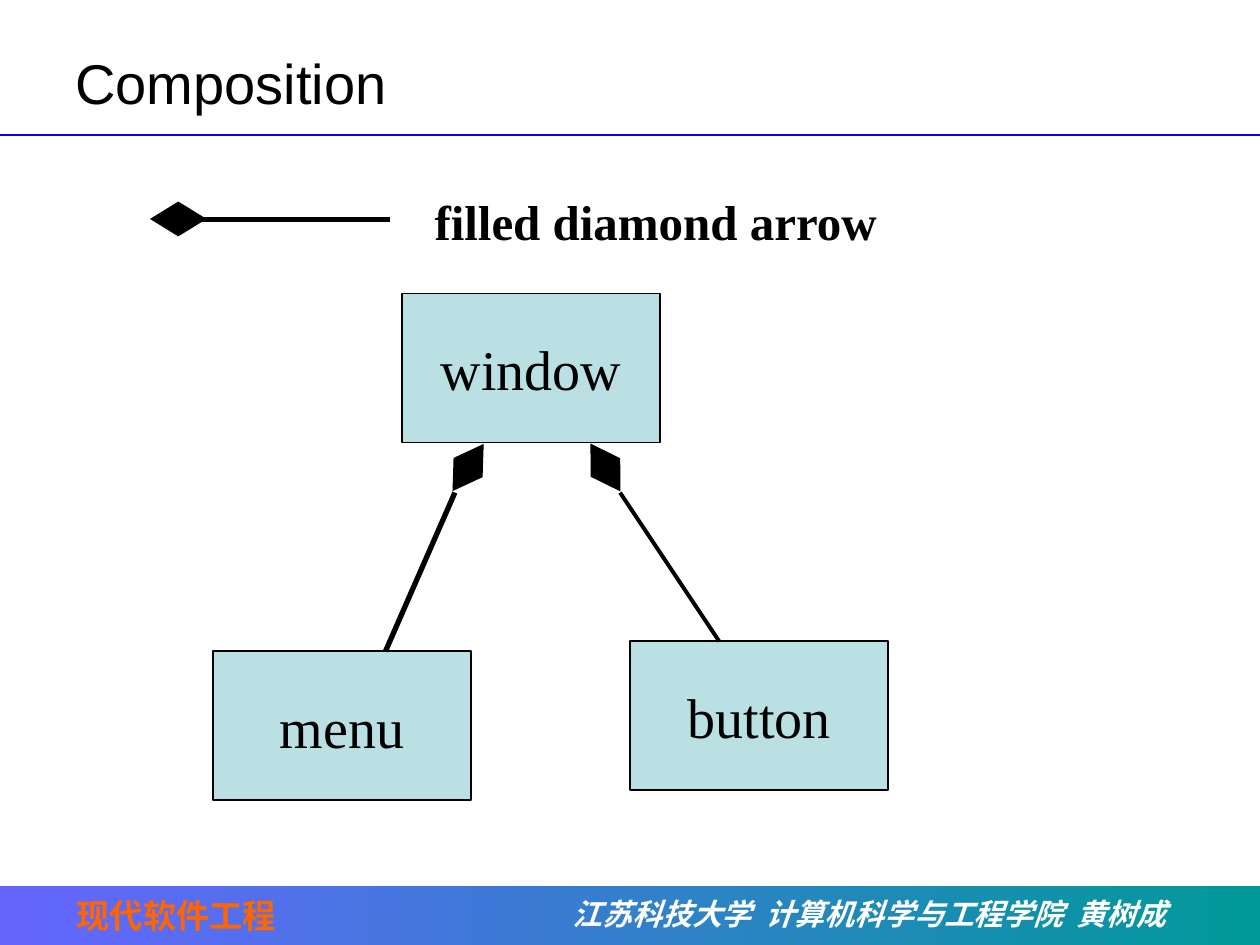
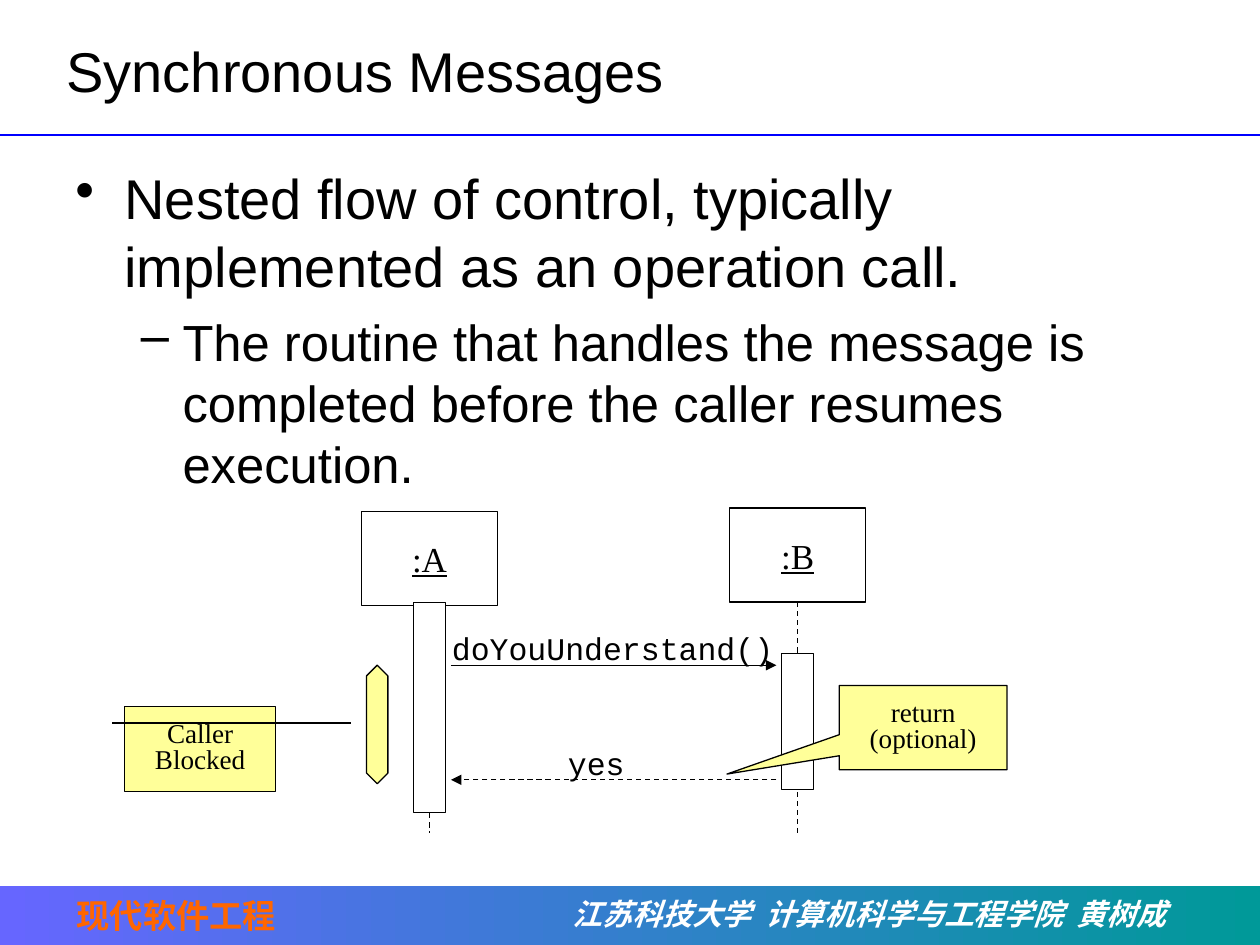
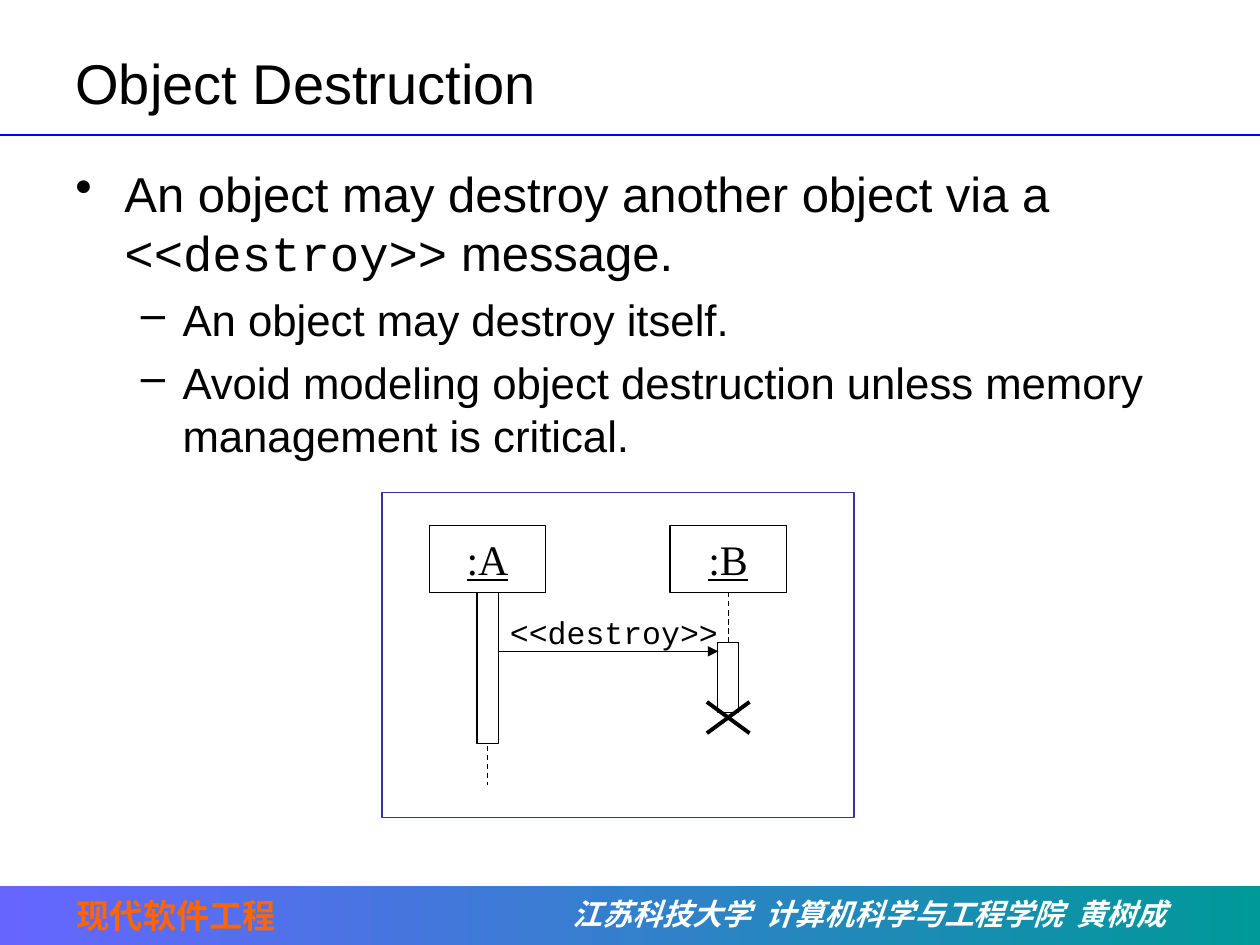
from dataclasses import dataclass

from lxml import etree
from pptx import Presentation
from pptx.dml.color import RGBColor
from pptx.enum.dml import MSO_LINE
from pptx.enum.shapes import MSO_CONNECTOR, MSO_SHAPE
from pptx.enum.text import MSO_ANCHOR, PP_ALIGN
from pptx.oxml.ns import qn
from pptx.util import Cm, Pt

# Colours
BLACK = RGBColor(0x00, 0x00, 0x00)
WHITE = RGBColor(0xFF, 0xFF, 0xFF)
BLUE = RGBColor(0x00, 0x00, 0xFF)
VIOLET = RGBColor(0x66, 0x66, 0xFF)
TEAL = RGBColor(0x00, 0x99, 0x99)
ORANGE = RGBColor(0xFF, 0x66, 0x00)
PALE_BLUE = RGBColor(0xBB, 0xE0, 0xE3)
YELLOW = RGBColor(0xFF, 0xFF, 0x99)
INDIGO = RGBColor(0x33, 0x33, 0x99)

# Fonts and enum members
SANS, SERIF, MONO = "Arial", "Times New Roman", "Courier New"
RECTANGLE = MSO_SHAPE.RECTANGLE
DIAMOND = MSO_SHAPE.DIAMOND
STRAIGHT = MSO_CONNECTOR.STRAIGHT
DASH = MSO_LINE.DASH
CENTER = PP_ALIGN.CENTER
MIDDLE = MSO_ANCHOR.MIDDLE
BOTTOM_SITE = 2

SLIDE_WIDTH, SLIDE_HEIGHT = 25.4, 19.05


@dataclass(frozen=True)
class Box:
    """A place on the slide, in centimetres."""
    left: float
    top: float
    width: float
    height: float

    def lengths(self):
        return Cm(self.left), Cm(self.top), Cm(self.width), Cm(self.height)


@dataclass(frozen=True)
class TextStyle:
    size: float
    font: str = SERIF
    color: RGBColor = BLACK
    bold: bool = False
    italic: bool = False
    underline: bool = False


@dataclass(frozen=True)
class Bullet:
    """A bulleted paragraph; runs are pairs of text and font name."""
    runs: tuple
    size: float
    level: int = 0
    space_before: float = 0


@dataclass(frozen=True)
class Participant:
    """An object of a sequence diagram with its lifeline and activation bar."""
    name: str
    box: Box
    size: float
    lifeline_end: float
    bar_top: float
    bar_width: float
    bar_height: float


TITLE_STYLE = TextStyle(32, SANS)
MESSAGE_STYLE = TextStyle(18, MONO)
NOTE_STYLE = TextStyle(15.5)
BULLET_MARKS = (("•", 0.99, -0.99), ("–", 2.16, -0.84))


# Text
def style_paragraph(paragraph, style: TextStyle) -> None:
    font = paragraph.font
    font.size = Pt(style.size)
    font.name = style.font
    font.color.rgb = style.color
    font.bold = style.bold
    font.italic = style.italic
    font.underline = style.underline


def add_label(shapes, box: Box, text: str, style: TextStyle,
              wrap: bool = True, anchor=MSO_ANCHOR.TOP):
    label = shapes.add_textbox(*box.lengths())
    frame = label.text_frame
    frame.word_wrap = wrap
    frame.vertical_anchor = anchor
    frame.text = text
    style_paragraph(frame.paragraphs[0], style)
    return label


def add_bullets(shapes, box: Box, bullets: list[Bullet]) -> None:
    frame = shapes.add_textbox(*box.lengths()).text_frame
    frame.word_wrap = True
    for index, bullet in enumerate(bullets):
        paragraph = frame.add_paragraph() if index else frame.paragraphs[0]
        paragraph.level = bullet.level
        mark, margin, indent = BULLET_MARKS[bullet.level]
        properties = paragraph._p.get_or_add_pPr()
        properties.set("marL", str(Cm(margin)))
        properties.set("indent", str(Cm(indent)))
        etree.SubElement(properties, qn("a:buChar")).set("char", mark)
        if index:
            paragraph.space_before = Pt(bullet.space_before)
        style_paragraph(paragraph, TextStyle(bullet.size, SANS))
        for text, font_name in bullet.runs:
            run = paragraph.add_run()
            run.text = text
            if font_name != SANS:
                run.font.name = font_name


# Shapes and lines
def add_figure(shapes, kind, box: Box, fill: RGBColor | None = None,
               line: RGBColor | None = BLACK, weight: float = 0.75):
    figure = shapes.add_shape(kind, *box.lengths())
    figure.shadow.inherit = False
    if fill is None:
        figure.fill.background()
    else:
        figure.fill.solid()
        figure.fill.fore_color.rgb = fill
    if line is None:
        figure.line.fill.background()
    else:
        figure.line.color.rgb = line
        figure.line.width = Pt(weight)
    return figure


def add_text_figure(shapes, kind, box: Box, text: str, style: TextStyle,
                    fill: RGBColor | None = None, weight: float = 0.75,
                    wrap: bool = False, spacing: float = 1.0):
    figure = add_figure(shapes, kind, box, fill, weight=weight)
    frame = figure.text_frame
    frame.word_wrap = wrap
    frame.vertical_anchor = MIDDLE
    frame.text = text
    paragraph = frame.paragraphs[0]
    paragraph.alignment = CENTER
    paragraph.line_spacing = spacing
    style_paragraph(paragraph, style)
    return figure


def add_line(shapes, start: tuple[float, float], end: tuple[float, float],
             weight: float = 0.75, color: RGBColor = BLACK,
             dashed: bool = False, arrow: bool = False):
    connector = shapes.add_connector(STRAIGHT, *map(Cm, start + end))
    connector.line.color.rgb = color
    connector.line.width = Pt(weight)
    if dashed:
        connector.line.dash_style = DASH
    if arrow:
        outline = connector.line._get_or_add_ln()
        etree.SubElement(outline, qn("a:tailEnd")).set("type", "triangle")
    etree.SubElement(connector._element.spPr, qn("a:effectLst"))
    return connector


def add_diamond(shapes, left: float, top: float, rotation: float = 0) -> None:
    diamond = add_figure(shapes, DIAMOND, Box(left, top, 0.99, 0.61), BLACK, weight=2.25)
    outline = diamond.line._get_or_add_ln()
    etree.SubElement(outline, qn("a:miter")).set("lim", "800000")
    diamond.rotation = rotation


def add_participant(shapes, participant: Participant) -> None:
    box = participant.box
    header = add_text_figure(shapes, RECTANGLE, box, participant.name,
                             TextStyle(participant.size, underline=True))
    center = box.left + box.width / 2
    lifeline = add_line(shapes, (center, box.top + box.height),
                        (center, participant.lifeline_end), dashed=True)
    lifeline.begin_connect(header, BOTTOM_SITE)
    bar = Box(center - participant.bar_width / 2, participant.bar_top,
              participant.bar_width, participant.bar_height)
    add_figure(shapes, RECTANGLE, bar, WHITE)


# Parts that every slide shares
def add_base_slide(presentation, title: str, left: float = 1.27, top: float = 0.76):
    slide = presentation.slides.add_slide(presentation.slide_layouts[6])
    shapes = slide.shapes
    add_line(shapes, (0, 2.72), (SLIDE_WIDTH, 2.72), 1.5, BLUE)
    band = add_figure(shapes, RECTANGLE, Box(0, 17.86, SLIDE_WIDTH, 1.19), line=None)
    band.fill.gradient()
    band.fill.gradient_angle = 0
    for stop, color in zip(band.fill.gradient_stops, (VIOLET, TEAL)):
        stop.color.rgb = color
    add_label(shapes, Box(11.3, 17.93, 13, 0.99), "江苏科技大学  计算机科学与工程学院  黄树成",
              TextStyle(17, color=WHITE, bold=True, italic=True))
    add_label(shapes, Box(1.3, 17.93, 7.49, 1.07), "现代软件工程",
              TextStyle(19, color=ORANGE, bold=True))
    add_label(shapes, Box(left, top, 22.66, 1.78), title, TITLE_STYLE, anchor=MIDDLE)
    return slide


def build_composition(presentation) -> None:
    shapes = add_base_slide(presentation, "Composition").shapes

    # Legend
    add_diamond(shapes, 3.1, 4.11)
    add_line(shapes, (4.06, 4.42), (7.87, 4.42), 3)
    add_label(shapes, Box(8.51, 3.73, 11.4, 1.45), "filled diamond arrow",
              TextStyle(28, bold=True))

    # Whole and its parts
    for name, left, top in (("window", 8.1, 5.92), ("menu", 4.29, 13.13),
                            ("button", 12.7, 12.93)):
        add_text_figure(shapes, RECTANGLE, Box(left, top, 5.21, 3), name,
                        TextStyle(32), PALE_BLUE, weight=1)
    add_line(shapes, (7.77, 13.13), (9.17, 9.93), 3)
    add_diamond(shapes, 8.94, 9.12, 123.5)
    add_diamond(shapes, 11.71, 9.12, 57.9)
    add_line(shapes, (12.5, 9.93), (14.5, 12.93), 2.25)


def build_synchronous_messages(presentation) -> None:
    shapes = add_base_slide(presentation, "Synchronous Messages", 1.09, 0.53).shapes
    add_bullets(shapes, Box(1.27, 3.18, 22.86, 14.17), [
        Bullet((("Nested flow of control, typically implemented as an operation call.",
                 SANS),), 32),
        Bullet((("The routine that handles the message is completed before "
                 "the caller resumes execution.", SANS),), 29, 1, 7.3),
    ])

    # Objects
    for participant in (
        Participant(":A", Box(7.29, 10.31, 2.74, 1.9), 20, 16.79, 12.14, 0.64, 4.24),
        Participant(":B", Box(14.71, 10.24, 2.74, 1.9), 20, 16.79, 13.18, 0.64, 2.74),
    ):
        add_participant(shapes, participant)

    # Call and return
    add_line(shapes, (9.09, 13.41), (15.65, 13.41), arrow=True)
    add_label(shapes, Box(8.86, 12.55, 6.98, 1.02), "doYouUnderstand()",
              MESSAGE_STYLE, wrap=False)
    add_line(shapes, (15.65, 15.72), (9.09, 15.72), dashed=True, arrow=True)
    add_label(shapes, Box(11.2, 14.88, 1.65, 1.02), "yes", MESSAGE_STYLE, wrap=False)

    # Blocked span and notes
    span = add_figure(shapes, MSO_SHAPE.UP_DOWN_ARROW, Box(7.39, 13.41, 0.43, 2.39), YELLOW)
    span.adjustments[0], span.adjustments[1] = 0.5, 1.12
    for kind, box, text, adjustments in (
        (MSO_SHAPE.LINE_CALLOUT_1, Box(2.51, 14.25, 3.05, 1.7), "Caller Blocked",
         (0.19, -0.08, 0.19, 1.5)),
        (MSO_SHAPE.RECTANGULAR_CALLOUT, Box(16.92, 13.82, 3.38, 1.7), "return (optional)",
         (-1.17, 0.55)),
    ):
        note = add_text_figure(shapes, kind, box, text, NOTE_STYLE, YELLOW,
                               wrap=True, spacing=0.8)
        for index, value in enumerate(adjustments):
            note.adjustments[index] = value


def build_object_destruction(presentation) -> None:
    slide = add_base_slide(presentation, "Object Destruction")
    add_bullets(slide.shapes, Box(1.27, 3.18, 22.86, 7.87), [
        Bullet((("An object may destroy another object via a ", SANS),
                ("<<destroy>>", MONO), (" message.", SANS)), 28),
        Bullet((("An object may destroy itself.", SANS),), 25, 1, 6.2),
        Bullet((("Avoid modeling object destruction unless memory "
                 "management is critical.", SANS),), 25, 1, 6.2),
    ])

    # Framed diagram
    shapes = slide.shapes.add_group_shape().shapes
    add_figure(shapes, RECTANGLE, Box(7.7, 9.93, 9.52, 6.55), line=INDIGO)
    for participant in (
        Participant(":A", Box(8.66, 10.59, 2.34, 1.35), 24, 15.82, 11.94, 0.43, 3.05),
        Participant(":B", Box(13.51, 10.59, 2.34, 1.35), 24, 14.38, 12.95, 0.43, 1.42),
    ):
        add_participant(shapes, participant)
    add_line(shapes, (10.03, 13.13), (14.48, 13.13), arrow=True)
    add_label(shapes, Box(10.03, 12.24, 4.7, 1.02), "<<destroy>>", MESSAGE_STYLE, wrap=False)

    # Destruction cross
    left, right, top, bottom = 14.25, 15.11, 14.15, 14.78
    add_line(shapes, (left, top), (right, bottom), 2.25)
    add_line(shapes, (left, bottom), (right, top), 2.25)


def main() -> None:
    presentation = Presentation()
    presentation.slide_width = Cm(SLIDE_WIDTH)
    presentation.slide_height = Cm(SLIDE_HEIGHT)
    build_composition(presentation)
    build_synchronous_messages(presentation)
    build_object_destruction(presentation)
    presentation.save("out.pptx")


if __name__ == "__main__":
    main()
